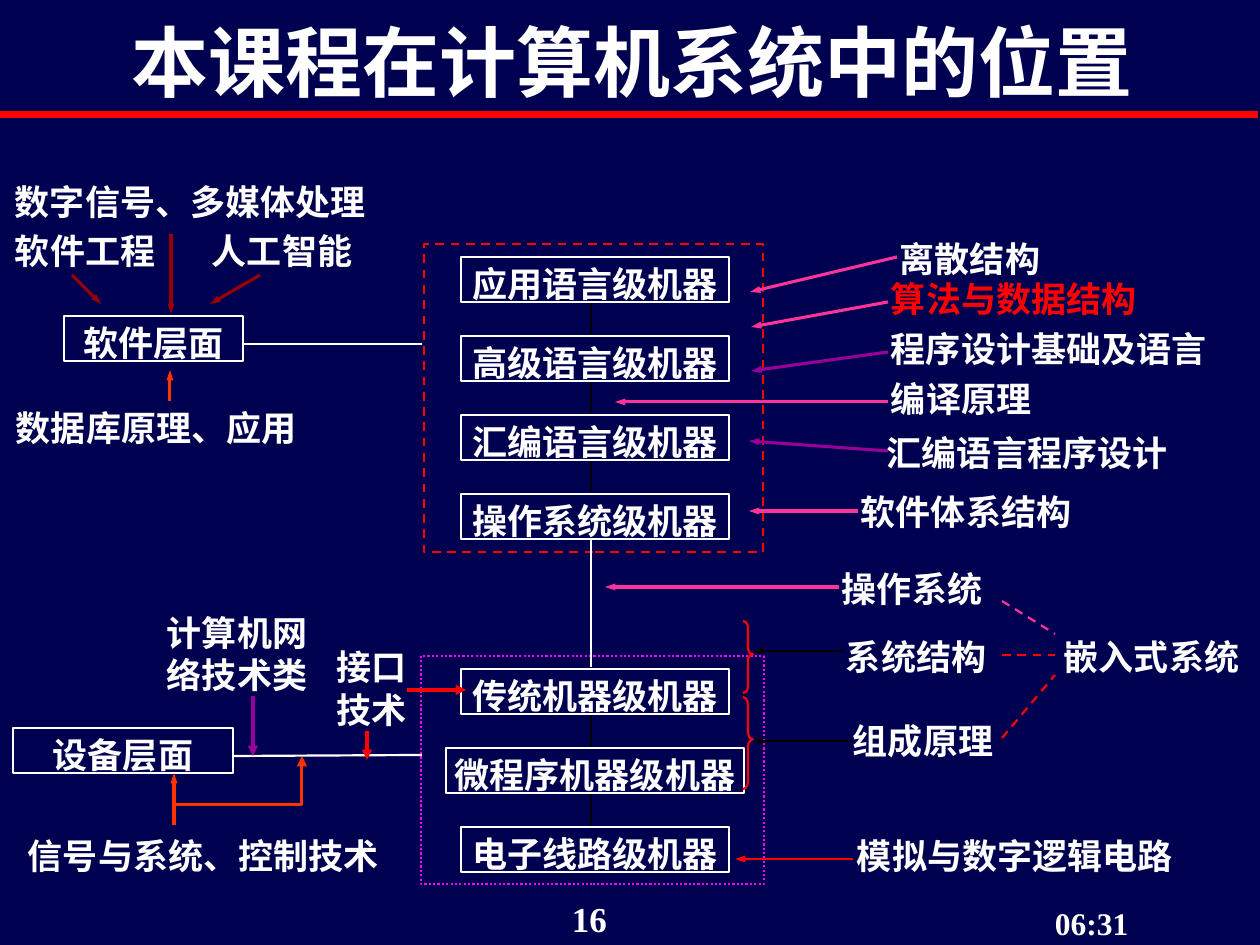
from itertools import pairwise

from lxml import etree
from pptx import Presentation
from pptx.dml.color import RGBColor
from pptx.enum.dml import MSO_LINE
from pptx.enum.shapes import MSO_CONNECTOR, MSO_SHAPE
from pptx.enum.text import MSO_ANCHOR, PP_ALIGN
from pptx.oxml.ns import qn
from pptx.util import Pt

STRAIGHT = MSO_CONNECTOR.STRAIGHT
RECT, BRACE = MSO_SHAPE.RECTANGLE, MSO_SHAPE.RIGHT_BRACE
LEFT, CENTER = PP_ALIGN.LEFT, PP_ALIGN.CENTER
DASH, DOT = MSO_LINE.DASH, MSO_LINE.ROUND_DOT
EMU_PER_PX = 914400 / 126

THEME = {
    "cjk": "Noto Sans CJK JP", "latin": "Times New Roman",
    "title": 44, "body": 20, "clock": 18,
    "rule": 4, "arrow": 1.75, "link": 1.5, "thin": 1.25,
    "navy": "000050", "white": "FFFFFF", "black": "000000", "banner": "FF0101",
    "red": "FF0000", "orange": "FF3300", "maroon": "990000",
    "purple": "990099", "pink": "FF3399", "magenta": "FF00FF",
}

# Content: text, left, top, width
TITLE = "本课程在计算机系统中的位置"
SOFTWARE_LEVELS = ["应用语言级机器", "高级语言级机器", "汇编语言级机器", "操作系统级机器"]
HARDWARE_LEVELS = ["传统机器级机器", "微程序机器级机器", "电子线路级机器"]
LAYERS = [("软件层面", 64, 316, 179), ("设备层面", 13, 728, 220)]
COURSES = [
    ("数字信号、多媒体处理", 12, 175, 377),
    ("软件工程", 12, 224, 160),
    ("人工智能", 209, 224, 160),
    ("数据库原理、应用", 13, 401, 423),
    ("离散结构", 897, 232, 318),
    ("程序设计基础及语言", 888, 322, 338),
    ("编译原理", 888, 372, 159),
    ("汇编语言程序设计", 884, 426, 301),
    ("软件体系结构", 858, 485, 343),
    ("操作系统", 839, 562, 160),
    ("系统结构", 843, 630, 158),
    ("组成原理", 850, 714, 151),
    ("模拟与数字逻辑电路", 854, 829, 336),
    ("嵌入式系统", 1061, 630, 189),
    ("信号与系统、控制技术", 25, 829, 367),
    ("计算机网\n络技术类", 164, 607, 159),
]
HIGHLIGHT = ("算法与数据结构", 888, 272, 357)
INTERFACE = ("接口\n技术", 327, 641, 90)

# Lines: x1, y1, x2, y2, colour; arrows point to the second end
NARROW_ARROWS = [
    (170, 401, 170, 370, "orange"),
    (72, 275, 101, 304, "maroon"),
    (260, 275, 210, 304, "maroon"),
    (171, 234, 171, 314, "maroon"),
    (897, 257, 750, 292, "pink"),
    (888, 302, 751, 327, "pink"),
    (888, 352, 751, 371, "purple"),
    (888, 402, 615, 402, "pink"),
    (888, 451, 749, 441, "purple"),
    (858, 511, 749, 511, "pink"),
    (839, 587, 605, 587, "pink"),
    (174, 825, 174, 773, "orange"),
]
WIDE_ARROWS = [
    (367, 731, 367, 760, "red"),
    (407, 690, 466, 690, "red"),
    (302, 805, 302, 756, "orange"),
    (253, 696, 253, 756, "purple"),
]
THIN_ARROWS = [
    (843, 651, 753, 651, "black"),
    (853, 741, 753, 741, "black"),
    (853, 859, 735, 859, "red"),
]
EMBEDDED_LINKS = [
    (1002, 601, 1055, 634, "pink"),
    (1002, 655, 1055, 655, "red"),
    (1002, 738, 1055, 675, "red"),
]
LAYER_LINKS = [(243, 344, 422, 344, "white"), (233, 756, 422, 755, "white")]
CONTROL_BRANCH = (174, 805, 302, 805, "orange")

# Frames and braces: left, top, width, height
SOFTWARE_FRAME = (424, 244, 339, 308)
HARDWARE_FRAME = (421, 656, 343, 228)
BRACES = [((743, 697, 10, 92), (0.73, 0.46)), ((743, 621, 10, 72), (0.61, 0.46))]

# Level stack
STACK_PITCH, BOX_H = 79, 45
SOFTWARE_TOP, HARDWARE_TOP = 257, 669
LEVEL_CENTER, LINK_X = 595, 591
LEVEL_W, LONG_LEVEL_W = 268, 298


def px(value):
    return round(value * EMU_PER_PX)


def color(name):
    return RGBColor.from_string(THEME[name])


def style_line(line, tint, weight, dash=None):
    line.color.rgb = color(tint)
    line.width = Pt(THEME[weight])
    if dash:
        line.dash_style = dash


def write(shape, text, size="body", tint="white", align=LEFT, font="cjk",
          insets=(3, 5, 3, 0), tight=True):
    frame = shape.text_frame
    left, top, right, bottom = map(px, insets)
    settings = {"word_wrap": True, "vertical_anchor": MSO_ANCHOR.TOP,
                "margin_left": left, "margin_top": top,
                "margin_right": right, "margin_bottom": bottom}
    for key, value in settings.items():
        setattr(frame, key, value)
    frame.text = text
    for paragraph in frame.paragraphs:
        paragraph.alignment = align
        if tight:
            paragraph.line_spacing = Pt(round(THEME[size] * 1.2))
        for run in paragraph.runs:
            look = {"name": THEME[font], "size": Pt(THEME[size]), "bold": True}
            for key, value in look.items():
                setattr(run.font, key, value)
            run.font.color.rgb = color(tint)
            east_asian = etree.SubElement(run.font._element, qn("a:ea"))
            east_asian.set("typeface", THEME[font])


def add_label(slide, text, x, y, w, h=45, **look):
    write(slide.shapes.add_textbox(*map(px, (x, y, w, h))), text, **look)


def add_outline(slide, bounds, tint="white", dash=None, kind=RECT):
    shape = slide.shapes.add_shape(kind, *map(px, bounds))
    shape.shadow.inherit = False
    shape.fill.background()
    style_line(shape.line, tint, "thin", dash)
    return shape


def add_line(slide, x1, y1, x2, y2, tint, weight="thin", dash=None, head=None):
    line = slide.shapes.add_connector(STRAIGHT, *map(px, (x1, y1, x2, y2)))
    style_line(line.line, tint, weight, dash)
    properties = line._element.spPr
    if head:
        tail = etree.SubElement(properties.find(qn("a:ln")), qn("a:tailEnd"))
        for key, value in {"type": "triangle", "w": head, "len": "med"}.items():
            tail.set(key, value)
    etree.SubElement(properties, qn("a:effectLst"))


def add_stack(slide, levels, top):
    tops = [top + i * STACK_PITCH for i in range(len(levels))]
    for text, y in zip(levels, tops):
        w = LONG_LEVEL_W if len(text) > 7 else LEVEL_W
        box = add_outline(slide, (LEVEL_CENTER - w // 2, y, w, BOX_H))
        write(box, text, align=CENTER)
    for upper, lower in pairwise(tops):
        add_line(slide, LINK_X, upper + BOX_H + 1, LINK_X, lower - 2, "black", "link")
    return tops[-1] + BOX_H


def main():
    deck = Presentation()
    deck.slide_width, deck.slide_height = px(1260), px(945)
    slide = deck.slides.add_slide(deck.slide_layouts[6])
    slide.background.fill.solid()
    slide.background.fill.fore_color.rgb = color("navy")

    # Title and footer
    add_line(slide, 0, 115, 1258, 115, "banner", "rule")
    add_label(slide, "16", 551, 891, 199, 54, font="latin",
              insets=(21, 6, 13, 6), tight=False)
    add_label(slide, "06:31", 1042, 898, 218, 50, size="clock", font="latin",
              insets=(13, 6, 13, 6), tight=False)
    add_label(slide, TITLE, 64, 0, 1137, 106, size="title", align=CENTER,
              insets=(13, 14, 13, 0))

    # Machine levels
    add_outline(slide, SOFTWARE_FRAME, "red", DASH)
    software_bottom = add_stack(slide, SOFTWARE_LEVELS, SOFTWARE_TOP)
    add_stack(slide, HARDWARE_LEVELS, HARDWARE_TOP)
    add_outline(slide, HARDWARE_FRAME, "magenta", DOT)
    add_line(slide, LINK_X, software_bottom, LINK_X, HARDWARE_TOP - 2, "white", "link")

    # Layers and courses
    for text, x, y, w in LAYERS:
        write(add_outline(slide, (x, y, w, BOX_H)), text, align=CENTER)
    for course in COURSES:
        add_label(slide, *course, h=45 + 42 * course[0].count("\n"))
    add_label(slide, *HIGHLIGHT, tint="red")
    add_label(slide, *INTERFACE, h=87, align=CENTER)

    # Braces
    for bounds, adjustments in BRACES:
        brace = add_outline(slide, bounds, "red", kind=BRACE)
        for i, value in enumerate(adjustments):
            brace.adjustments[i] = value

    # Lines and arrows
    for lines, look in [
        (LAYER_LINKS, {}),
        ([CONTROL_BRANCH], {"weight": "arrow"}),
        (EMBEDDED_LINKS, {"dash": DASH}),
        (NARROW_ARROWS, {"weight": "arrow", "head": "sm"}),
        (WIDE_ARROWS, {"weight": "arrow", "head": "med"}),
        (THIN_ARROWS, {"head": "sm"}),
    ]:
        for line in lines:
            add_line(slide, *line, **look)

    deck.save("out.pptx")


if __name__ == "__main__":
    main()
